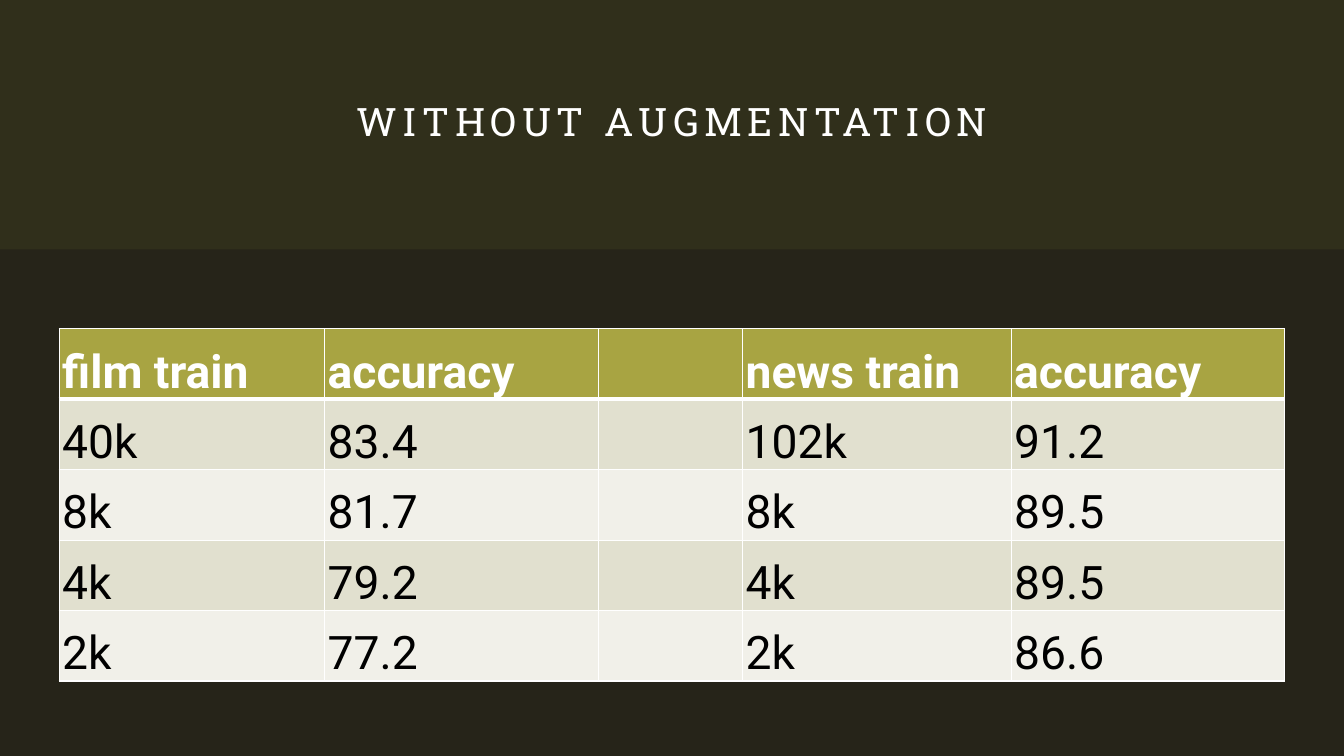
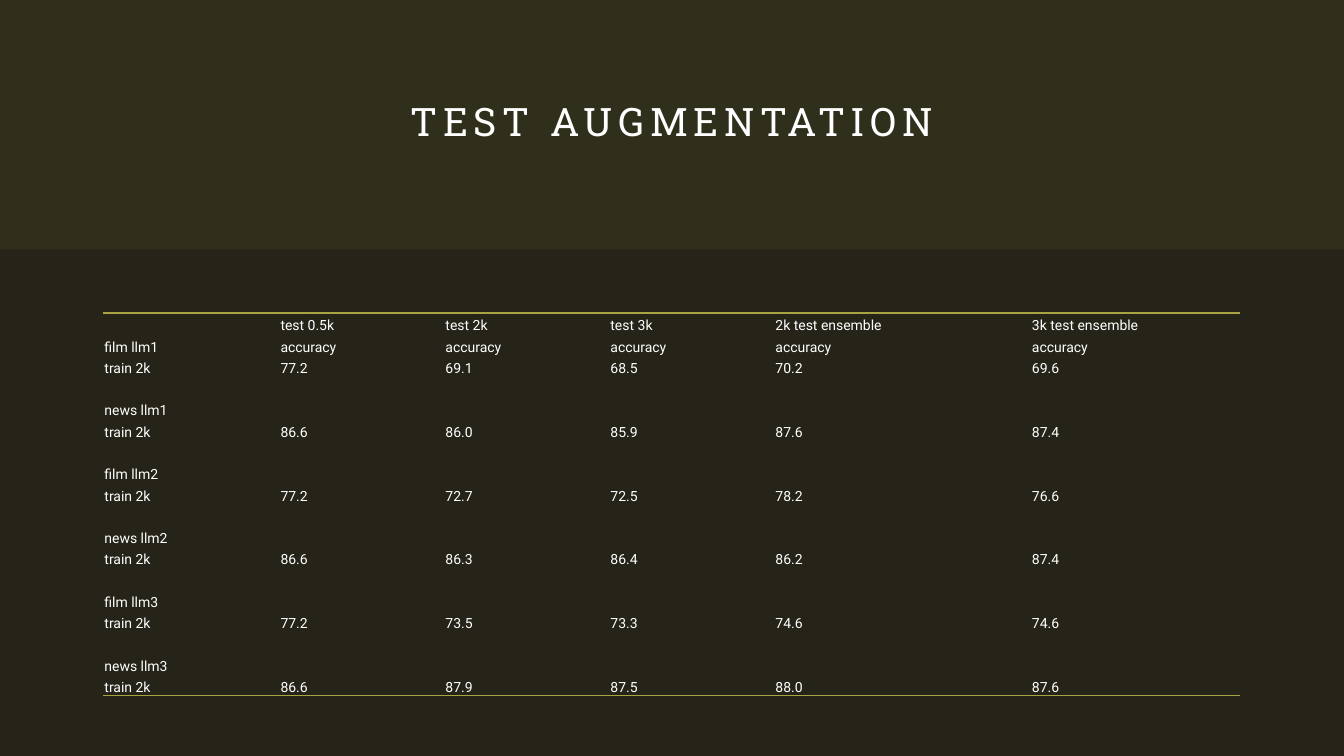
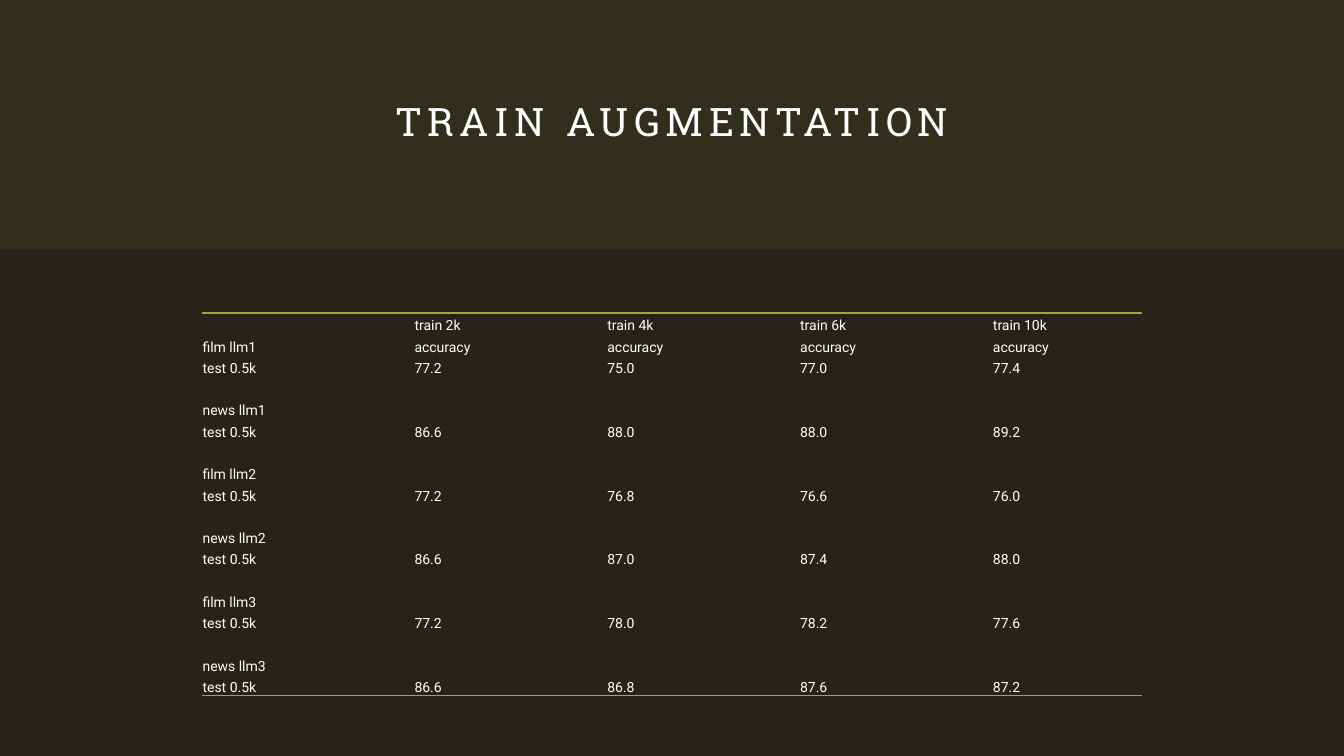
from pptx import Presentation
from pptx import util as u
from pptx.dml import color
from pptx.enum import shapes, text
from pptx.oxml import ns, xmlchemy

HUES = {"back": "302F1B", "panel": "262419", "olive": "A8A442", "white": "FFFFFF",
        "black": "000000", "dark": "E1E0CF", "light": "F1F0E9"}
BODY, HEAD = "Roboto", "Roboto Slab"
WIDE, HIGH = u.Inches(13.33), u.Inches(7.5)
SPLIT = 0.33                      # share of the height above the panel
PLAIN = "{2D5ABB26-0587-4C30-8999-92F81FD0307C}"   # table style without lines or fills


def hue(name):
    return color.RGBColor.from_string(HUES[name])


def area(left, top, width, height):
    """Turn shares of the slide into lengths."""
    return [round(left * WIDE), round(top * HIGH), round(width * WIDE), round(height * HIGH)]


def put(frame, words, size=10, font=BODY, ink="white", bold=False, space=0, align=None):
    para = frame.paragraphs[0]
    para.alignment = align
    if not words:                 # keeps the row of an empty cell low
        end = xmlchemy.OxmlElement("a:endParaRPr")
        end.set("sz", str(size * 100))
        para._p.append(end)
        return
    run = para.add_run()
    run.text = words
    run.font.size, run.font.name, run.font.bold = u.Pt(size), font, bold
    run.font.color.rgb = hue(ink)
    if space:
        run.font._element.set("spc", str(space * 100))


def edge(cell, **sides):
    """Draw cell borders; each side is given as (colour, points)."""
    props = cell._tc.get_or_add_tcPr()
    drawn = [side for side in "LRTB" if side in sides]
    for spot, side in enumerate(drawn):
        ink, width = sides[side]
        line = xmlchemy.OxmlElement(f"a:ln{side}")
        line.set("w", str(u.Pt(width)))
        fill = xmlchemy.OxmlElement("a:solidFill")
        tint = xmlchemy.OxmlElement("a:srgbClr")
        tint.set("val", HUES[ink])
        fill.append(tint)
        line.append(fill)
        props.insert(spot, line)


def grid(slide, box, cols, rows, pad, style):
    """Fill the box with a table; style(row, col) gives fill, borders and text format."""
    left, top, width, height = box
    frame = slide.shapes.add_table(len(rows), len(cols), left, top, width, height)
    table = frame.table
    table._tbl.tblPr.find(ns.qn("a:tableStyleId")).text = PLAIN
    table.first_row = table.horz_banding = False
    for col, share in zip(table.columns, cols):
        col.width = round(width * share / sum(cols))
    for r, row in enumerate(rows):
        table.rows[r].height = round(height / len(rows))
        for c, words in enumerate(row):
            cell = table.cell(r, c)
            fill, lines, form = style(r, c)
            cell.margin_left = cell.margin_right = cell.margin_top = u.Inches(pad)
            cell.margin_bottom = 0
            cell.vertical_anchor = text.MSO_ANCHOR.BOTTOM
            if fill:
                cell.fill.solid()
                cell.fill.fore_color.rgb = hue(fill)
            else:
                cell.fill.background()
            edge(cell, **lines)
            put(cell.text_frame, words, **form)


def banded(slide, box, cols, rows):
    def style(r, c):
        lines = {side: ("white", 1) for side in "LRTB"}
        if r < 2:
            lines["T" if r else "B"] = ("white", 3)
        fill = ("light", "dark")[r % 2] if r else "olive"
        return fill, lines, {"size": 33, "ink": "black" if r else "white", "bold": r == 0}

    grid(slide, box, cols, rows, 0.03, style)


def scores(slide, box, cols, heads, label, values):
    """Table of three rows a group: heads or a gap, the group's name, its values."""
    gap = 0.42
    names = [f"{data} llm{n}" for n in (1, 2, 3) for data in ("film", "news")]
    none = [""] * len(heads)
    lines = []
    for n, (name, group) in enumerate(zip(names, values)):
        lines += [["", *(none if n else heads)],
                  [name, *(none if n else ["accuracy"] * len(heads))],
                  [label, *group.split()]]

    def spread(items, blank):
        """Put a blank between neighbours."""
        return [part for item in items for part in (item, blank)][:-1]

    def style(r, c):
        rule = ("olive", 1)
        ends = {0: {"T": rule}, len(lines) - 1: {"B": rule}}
        return None, ends.get(r, {}), {"size": 10}

    grid(slide, box, spread(cols, gap), [spread(line, "") for line in lines], 0.01, style)


def page(deck, title):
    """Add a slide with its title and lower panel."""
    slide = deck.slides.add_slide(deck.slide_layouts[6])
    panel = slide.shapes.add_shape(shapes.MSO_SHAPE.RECTANGLE, *area(0, SPLIT, 1, 1 - SPLIT))
    panel.shadow.inherit = False
    panel.fill.solid()
    panel.fill.fore_color.rgb = hue("panel")
    panel.line.fill.background()
    frame = slide.shapes.add_textbox(*area(0.09, 0.08, 0.82, 0.16)).text_frame
    frame.word_wrap = True
    frame.vertical_anchor = text.MSO_ANCHOR.MIDDLE
    frame.margin_left = frame.margin_right = frame.margin_top = frame.margin_bottom = 0
    put(frame, title, size=28, font=HEAD, space=4, align=text.PP_ALIGN.CENTER)
    return slide


def main():
    deck = Presentation()
    deck.slide_width, deck.slide_height = WIDE, HIGH
    back = deck.slide_master.background.fill
    back.solid()
    back.fore_color.rgb = hue("back")

    banded(page(deck, "WITHOUT AUGMENTATION"), area(0.044, 0.435, 0.912, 0.466),
           [2.63, 2.71, 1.43, 2.66, 2.71],
           [["film train", "accuracy", "", "news train", "accuracy"],
            ["40k", "83.4", "", "102k", "91.2"],
            ["8k", "81.7", "", "8k", "89.5"],
            ["4k", "79.2", "", "4k", "89.5"],
            ["2k", "77.2", "", "2k", "86.6"]])

    scores(page(deck, "TEST AUGMENTATION"), area(0.077, 0.414, 0.846, 0.507),
           [1.33, 1.22, 1.22, 1.22, 2.13, 2.08],
           ["test 0.5k", "test 2k", "test 3k", "2k test ensemble", "3k test ensemble"],
           "train 2k",
           ["77.2 69.1 68.5 70.2 69.6",
            "86.6 86.0 85.9 87.6 87.4",
            "77.2 72.7 72.5 78.2 76.6",
            "86.6 86.3 86.4 86.2 87.4",
            "77.2 73.5 73.3 74.6 74.6",
            "86.6 87.9 87.5 88.0 87.6"])

    scores(page(deck, "TRAIN AUGMENTATION"), area(0.15, 0.414, 0.7, 0.507),
           [1.68, 1.49, 1.49, 1.49, 1.49],
           ["train 2k", "train 4k", "train 6k", "train 10k"],
           "test 0.5k",
           ["77.2 75.0 77.0 77.4",
            "86.6 88.0 88.0 89.2",
            "77.2 76.8 76.6 76.0",
            "86.6 87.0 87.4 88.0",
            "77.2 78.0 78.2 77.6",
            "86.6 86.8 87.6 87.2"])

    deck.save("out.pptx")


if __name__ == "__main__":
    main()
